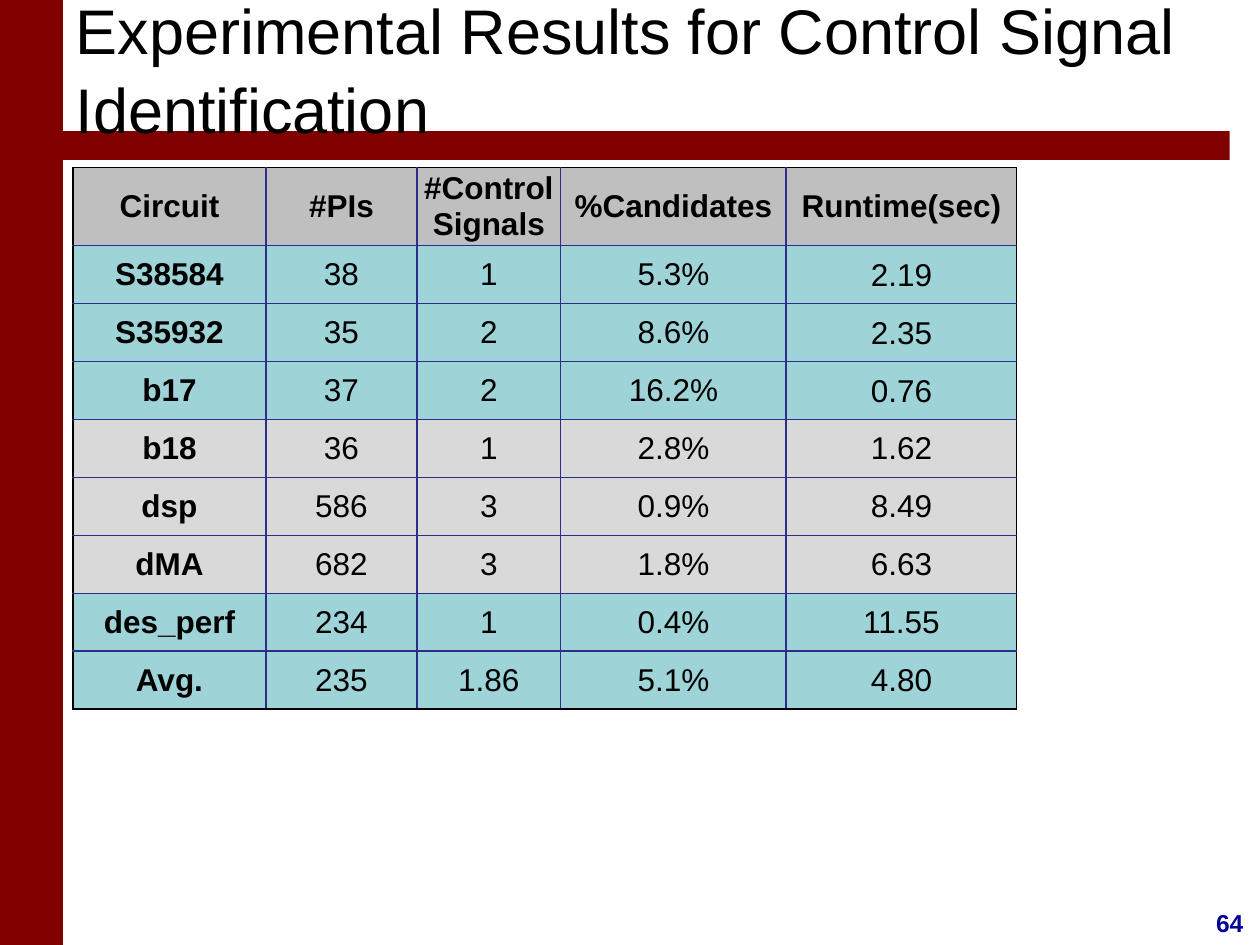
from lxml import etree
from pptx import Presentation
from pptx import util as u
from pptx.dml.color import RGBColor
from pptx.enum import shapes, text
from pptx.oxml import ns

MAROON = RGBColor(0x80, 0x00, 0x00)
NAVY = RGBColor(0x00, 0x00, 0x99)
INDIGO = RGBColor(0x2D, 0x2D, 0x8A)
BLACK = RGBColor(0x00, 0x00, 0x00)
HEADER_GRAY = RGBColor(0xBF, 0xBF, 0xBF)
LIGHT_GRAY = RGBColor(0xD9, 0xD9, 0xD9)
TEAL = RGBColor(0x9E, 0xD3, 0xD7)

COLUMN_WIDTHS = [1.53, 1.2, 1.14, 1.79, 1.83]
HEADER_HEIGHT, ROW_HEIGHT = 0.62, 0.46
RESULTS = [
    ("Circuit", "#PIs", "#Control Signals", "%Candidates", "Runtime(sec)"),
    ("S38584", "38", "1", "5.3%", "2.19"),
    ("S35932", "35", "2", "8.6%", "2.35"),
    ("b17", "37", "2", "16.2%", "0.76"),
    ("b18", "36", "1", "2.8%", "1.62"),
    ("dsp", "586", "3", "0.9%", "8.49"),
    ("dMA", "682", "3", "1.8%", "6.63"),
    ("des_perf", "234", "1", "0.4%", "11.55"),
    ("Avg.", "235", "1.86", "5.1%", "4.80"),
]
ROW_FILLS = [HEADER_GRAY] + [TEAL] * 3 + [LIGHT_GRAY] * 3 + [TEAL] * 2


def write(frame, words, size=18, color=BLACK, bold=False,
          align=text.PP_ALIGN.CENTER, spacing=None):
    paragraph = frame.paragraphs[0]
    paragraph.alignment = align
    paragraph.line_spacing = spacing
    run = paragraph.add_run()
    run.text = words
    run.font.name = "Arial"
    run.font.size = u.Pt(size)
    run.font.bold = bold
    run.font.color.rgb = color


def set_borders(cell, colors):
    """Draw 1 pt borders; colors maps the sides L, R, T, B to a colour."""
    properties = cell._tc.get_or_add_tcPr()
    for side in "LRTB":
        line = etree.SubElement(properties, ns.qn(f"a:ln{side}"), w=str(u.Pt(1)))
        fill = etree.SubElement(line, ns.qn("a:solidFill"))
        etree.SubElement(fill, ns.qn("a:srgbClr"), val=str(colors[side]))


class SlideBuilder:
    def __init__(self, presentation):
        self.slide = presentation.slides.add_slide(presentation.slide_layouts[5])

    def bar(self, left, top, width, height):
        shape = self.slide.shapes.add_shape(
            shapes.MSO_SHAPE.RECTANGLE, u.Inches(left), u.Inches(top),
            u.Inches(width), u.Inches(height))
        shape.shadow.inherit = False
        shape.fill.solid()
        shape.fill.fore_color.rgb = MAROON
        shape.line.fill.background()

    def title(self, words, left, top, width, height):
        shape = self.slide.shapes.title
        shape.left, shape.top = u.Inches(left), u.Inches(top)
        shape.width, shape.height = u.Inches(width), u.Inches(height)
        frame = shape.text_frame
        frame.auto_size = text.MSO_AUTO_SIZE.NONE
        frame.vertical_anchor = text.MSO_ANCHOR.MIDDLE
        write(frame, words, size=36, align=text.PP_ALIGN.LEFT, spacing=1.05)
        # Bring the title in front of the bars.
        self.slide.shapes._spTree.append(shape._element)

    def page_number(self, number, left, top, width, height):
        shape = self.slide.shapes.add_textbox(
            u.Inches(left), u.Inches(top), u.Inches(width), u.Inches(height))
        shape.text_frame.word_wrap = True
        write(shape.text_frame, number, size=14, color=NAVY, bold=True)

    def table(self, rows, left, top):
        last_row, last_column = len(rows) - 1, len(COLUMN_WIDTHS) - 1
        height = HEADER_HEIGHT + last_row * ROW_HEIGHT
        table = self.slide.shapes.add_table(
            len(rows), len(COLUMN_WIDTHS), u.Inches(left), u.Inches(top),
            u.Inches(sum(COLUMN_WIDTHS)), u.Inches(height)).table
        for column, width in zip(table.columns, COLUMN_WIDTHS):
            column.width = u.Inches(width)
        for r, values in enumerate(rows):
            table.rows[r].height = u.Inches(ROW_HEIGHT if r else HEADER_HEIGHT)
            for c, value in enumerate(values):
                cell = table.cell(r, c)
                outer = {"L": c == 0, "R": c == last_column,
                         "T": r == 0, "B": r == last_row}
                set_borders(cell, {side: BLACK if edge else INDIGO
                                   for side, edge in outer.items()})
                cell.fill.solid()
                cell.fill.fore_color.rgb = ROW_FILLS[r]
                cell.vertical_anchor = text.MSO_ANCHOR.MIDDLE
                cell.margin_left = cell.margin_right = u.Inches(0.01)
                cell.margin_top = u.Inches(0.01 if r and c == last_column else 0)
                cell.margin_bottom = 0
                write(cell.text_frame, value, bold=r == 0 or c == 0)


def main():
    presentation = Presentation()
    presentation.slide_width = u.Inches(10)
    presentation.slide_height = u.Inches(7.5)
    builder = SlideBuilder(presentation)
    builder.bar(0, 0, 0.5, 7.5)
    builder.page_number("64", 9.51, 7.16, 0.5, 0.33)
    builder.bar(0.42, 1.04, 9.34, 0.23)
    builder.title("Experimental Results for Control Signal Identification",
                  0.5, -0.01, 9.25, 1.08)
    builder.table(RESULTS, 0.58, 1.33)
    presentation.save("out.pptx")


if __name__ == "__main__":
    main()
